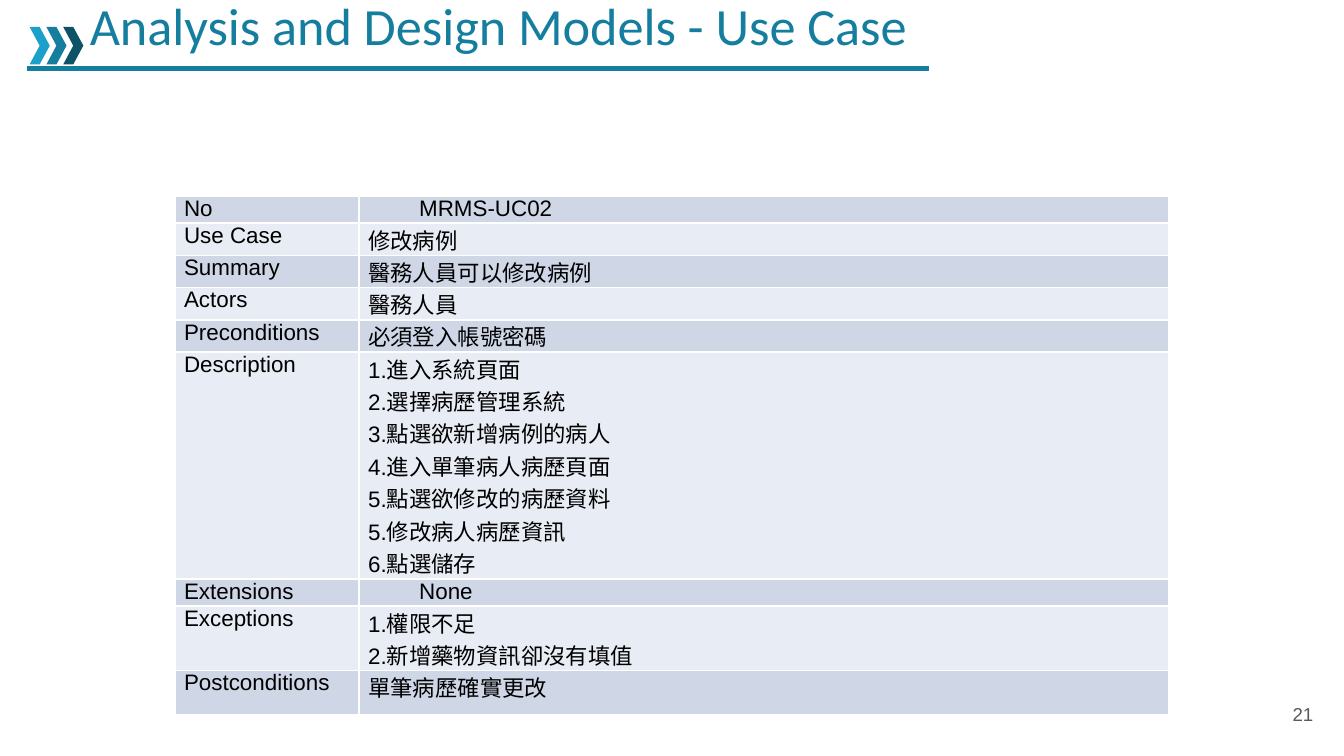
from dataclasses import dataclass

from lxml import etree
from pptx import Presentation
from pptx.dml.color import RGBColor
from pptx.enum.shapes import MSO_CONNECTOR, MSO_SHAPE
from pptx.enum.text import MSO_ANCHOR, PP_ALIGN
from pptx.oxml.ns import qn
from pptx.util import Inches, Pt

STRAIGHT = MSO_CONNECTOR.STRAIGHT
CHEVRON = MSO_SHAPE.CHEVRON
TOP, MIDDLE = MSO_ANCHOR.TOP, MSO_ANCHOR.MIDDLE
LEFT, RIGHT = PP_ALIGN.LEFT, PP_ALIGN.RIGHT

WHITE = RGBColor(0xFF, 0xFF, 0xFF)
BLACK = RGBColor(0x00, 0x00, 0x00)
GRAY = RGBColor(0x59, 0x59, 0x59)
SKY = RGBColor(0x1B, 0xA0, 0xC9)
TEAL = RGBColor(0x15, 0x7E, 0x9F)
NAVY = RGBColor(0x0D, 0x52, 0x67)
DARK_BAND = RGBColor(0xCF, 0xD7, 0xE7)
LIGHT_BAND = RGBColor(0xE8, 0xEC, 0xF4)


@dataclass(frozen=True)
class TextStyle:
    font: str
    size: float
    color: RGBColor
    align: PP_ALIGN = LEFT
    indent: float = 0
    space_before: float = 0


@dataclass(frozen=True)
class UseCaseField:
    label: str
    details: tuple[str, ...]
    height: float = 0.24
    indented: bool = False


TITLE = TextStyle("Calibri", 28, TEAL, indent=0.81, space_before=5.6)
PAGE_NUMBER = TextStyle("Arial", 10, GRAY, align=RIGHT)
BODY = TextStyle("Arial", 12, BLACK)
INDENTED_BODY = TextStyle("Arial", 12, BLACK, indent=0.38, space_before=3.1)

FIELDS = (
    UseCaseField("No", ("MRMS-UC02",), 0.18, True),
    UseCaseField("Use Case", ("修改病例",)),
    UseCaseField("Summary", ("醫務人員可以修改病例",)),
    UseCaseField("Actors", ("醫務人員",)),
    UseCaseField("Preconditions", ("必須登入帳號密碼",)),
    UseCaseField(
        "Description",
        (
            "1.進入系統頁面",
            "2.選擇病歷管理系統\n3.點選欲新增病例的病人",
            "4.進入單筆病人病歷頁面",
            "5.點選欲修改的病歷資料",
            "5.修改病人病歷資訊",
            "6.點選儲存",
        ),
        1.69,
    ),
    UseCaseField("Extensions", ("None",), 0.18, True),
    UseCaseField("Exceptions", ("1.權限不足\n2.新增藥物資訊卻沒有填值",), 0.48),
    UseCaseField("Postconditions", ("單筆病歷確實更改",), 0.33),
)


def write_paragraphs(frame, texts: tuple[str, ...], style: TextStyle) -> None:
    for index, text in enumerate(texts):
        paragraph = frame.paragraphs[0] if index == 0 else frame.add_paragraph()
        paragraph.alignment = style.align
        if style.indent:
            properties = paragraph._p.get_or_add_pPr()
            properties.set("marL", str(Inches(style.indent)))
            properties.set("indent", "0")
        if style.space_before:
            paragraph.space_before = Pt(style.space_before)
        for line_index, line in enumerate(text.split("\n")):
            if line_index:
                paragraph.add_line_break()
            run = paragraph.add_run()
            run.text = line
            run.font.name = style.font
            run.font.size = Pt(style.size)
            run.font.color.rgb = style.color


def add_label(shapes, left: float, top: float, width: float, height: float,
              text: str, style: TextStyle, anchor: MSO_ANCHOR) -> None:
    label = shapes.add_textbox(Inches(left), Inches(top), Inches(width), Inches(height))
    frame = label.text_frame
    frame.word_wrap = True
    frame.vertical_anchor = anchor
    frame.margin_left = frame.margin_right = Inches(0.1)
    frame.margin_top = frame.margin_bottom = Inches(0.1)
    write_paragraphs(frame, (text,), style)


def add_header(slide) -> None:
    header = slide.shapes.add_group_shape().shapes
    underline = header.add_connector(
        STRAIGHT, Inches(0.2), Inches(0.51), Inches(6.91), Inches(0.51))
    underline.line.color.rgb = TEAL
    underline.line.width = Pt(3)
    etree.SubElement(underline._element.spPr, qn("a:effectLst"))
    for index, color in enumerate((SKY, TEAL, NAVY)):
        chevron = header.add_shape(
            CHEVRON, Inches(0.22 + index * 0.25 / 2), Inches(0.2), Inches(0.15), Inches(0.28))
        chevron.adjustments[0] = 0.5
        chevron.shadow.inherit = False
        chevron.fill.solid()
        chevron.fill.fore_color.rgb = color
        chevron.line.fill.background()
    add_label(header, -0.24, -0.15, 7.38, 0.55,
              "Analysis and Design Models - Use Case", TITLE, TOP)


def add_borders(cell) -> None:
    properties = cell._tc.get_or_add_tcPr()
    for side in ("a:lnL", "a:lnR", "a:lnT", "a:lnB"):
        border = etree.SubElement(properties, qn(side), w=str(Pt(1)))
        fill = etree.SubElement(border, qn("a:solidFill"))
        etree.SubElement(fill, qn("a:srgbClr"), val=str(WHITE))


def fill_cell(cell, texts: tuple[str, ...], style: TextStyle, band: RGBColor) -> None:
    cell.margin_left = cell.margin_right = Inches(0.07)
    cell.margin_top = cell.margin_bottom = 0
    add_borders(cell)
    cell.fill.solid()
    cell.fill.fore_color.rgb = band
    write_paragraphs(cell.text_frame, texts, style)


def add_use_case_table(slide) -> None:
    total_height = sum(field.height for field in FIELDS)
    use_case = slide.shapes.add_table(
        len(FIELDS), 2, Inches(1.3), Inches(1.46), Inches(7.4), Inches(total_height)).table
    use_case.first_row = False
    use_case.horz_banding = False
    for column, width in zip(use_case.columns, (1.37, 6.03)):
        column.width = Inches(width)
    for index, field in enumerate(FIELDS):
        use_case.rows[index].height = Inches(field.height)
        band = LIGHT_BAND if index % 2 else DARK_BAND
        detail_style = INDENTED_BODY if field.indented else BODY
        fill_cell(use_case.cell(index, 0), (field.label,), BODY, band)
        fill_cell(use_case.cell(index, 1), field.details, detail_style, band)


def main() -> None:
    deck = Presentation()
    deck.slide_width = Inches(10)
    deck.slide_height = Inches(10) * 9 // 16
    slide = deck.slides.add_slide(deck.slide_layouts[6])
    add_label(slide.shapes, 9.27, 5.1, 0.6, 0.43, "21", PAGE_NUMBER, MIDDLE)
    add_header(slide)
    add_use_case_table(slide)
    deck.save("out.pptx")


if __name__ == "__main__":
    main()
